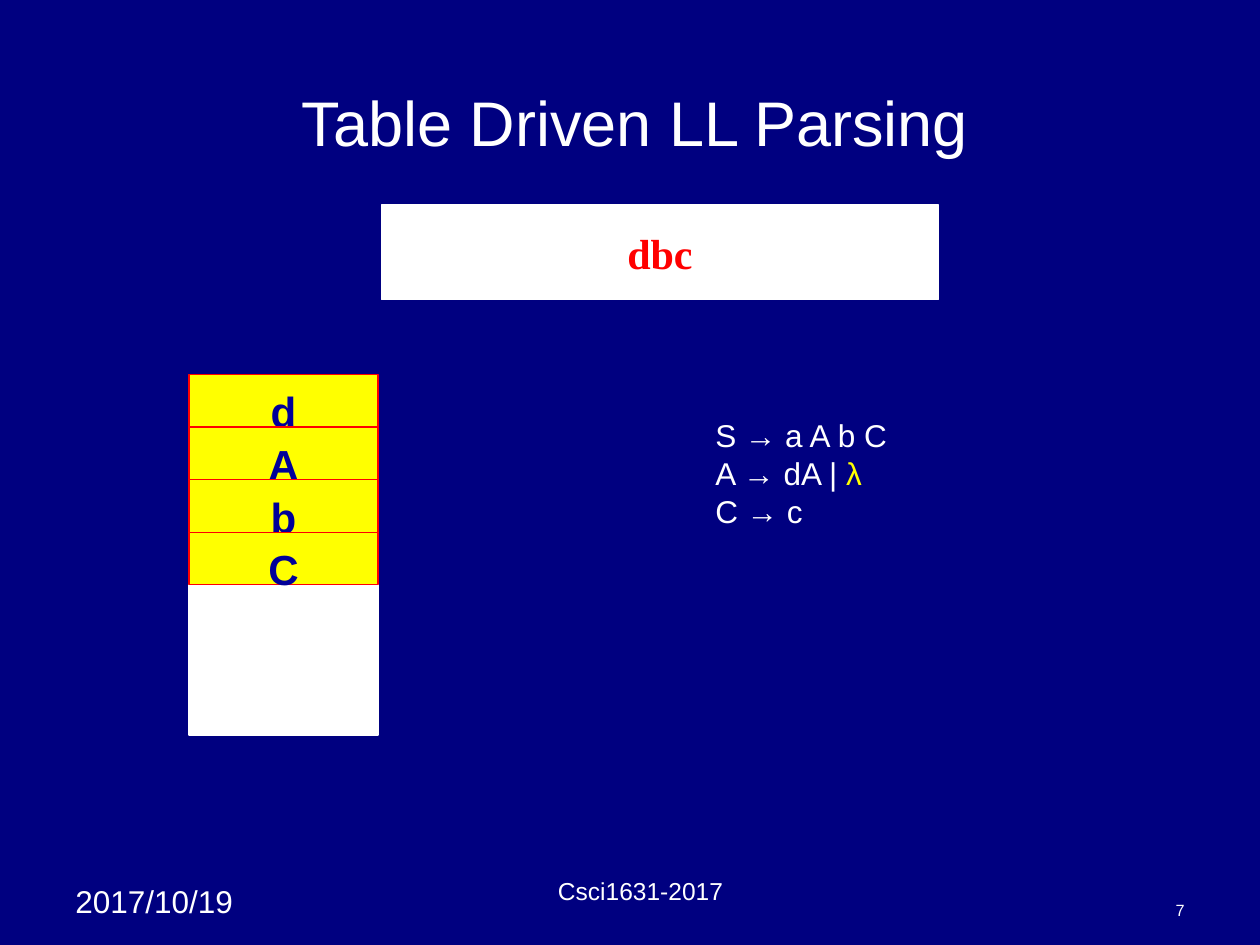
from pptx import Presentation
from pptx.dml.color import RGBColor
from pptx.enum.shapes import MSO_SHAPE
from pptx.enum.text import MSO_ANCHOR, PP_ALIGN
from pptx.util import Cm, Pt

NAVY = RGBColor(0x00, 0x00, 0x80)
INK = RGBColor(0x00, 0x00, 0x99)
WHITE = RGBColor(0xFF, 0xFF, 0xFF)
YELLOW = RGBColor(0xFF, 0xFF, 0x00)
RED = RGBColor(0xFF, 0x00, 0x00)

TITLE = "Table Driven LL Parsing"
INPUT = "dbc"
STACK = ["d", "A", "b", "C"]
GRAMMAR = [
    [("S → a A b C", WHITE)],
    [("A → dA | ", WHITE), ("λ", YELLOW)],
    [("C → c", WHITE)],
]
DATE = "2017/10/19"
COURSE = "Csci1631-2017"
PAGE = "7"

STACK_LEFT, STACK_TOP, STACK_WIDTH, CELL_HEIGHT = 3.81, 7.55, 3.81, 1.06


def write(holder, text, size=18, color=WHITE, font="Arial", bold=False,
          align=PP_ALIGN.LEFT, anchor=MSO_ANCHOR.TOP, wrap=True, top=0.13):
    frame = holder.text_frame
    frame.word_wrap = wrap
    frame.vertical_anchor = anchor
    frame.margin_left = frame.margin_right = Cm(0.25)
    frame.margin_top, frame.margin_bottom = Cm(top), Cm(0.13)
    lines = [[(text, color)]] if isinstance(text, str) else text
    for number, line in enumerate(lines):
        paragraph = frame.add_paragraph() if number else frame.paragraphs[0]
        paragraph.alignment = align
        for words, ink in line:
            run = paragraph.add_run()
            run.text = words
            run.font.name = font
            run.font.size = Pt(size)
            run.font.bold = bold
            run.font.color.rgb = ink


def add_text(slide, box, text, **style):
    write(slide.shapes.add_textbox(*map(Cm, box)), text, **style)


def add_box(slide, box, fill, line, width):
    rect = slide.shapes.add_shape(MSO_SHAPE.RECTANGLE, *map(Cm, box))
    rect.shadow.inherit = False
    rect.fill.solid()
    rect.fill.fore_color.rgb = fill
    rect.line.color.rgb = line
    rect.line.width = Pt(width)
    return rect


def main():
    deck = Presentation()
    deck.slide_width, deck.slide_height = Cm(25.4), Cm(19.05)
    slide = deck.slides.add_slide(deck.slide_layouts[6])
    slide.background.fill.solid()
    slide.background.fill.fore_color.rgb = NAVY

    add_text(slide, (1.27, 17.65, 4.01, 1.02), DATE)
    add_text(slide, (8.89, 17.7, 8.05, 0.69), COURSE, size=14,
             align=PP_ALIGN.CENTER, anchor=MSO_ANCHOR.BOTTOM)
    add_text(slide, (18.21, 17.98, 5.92, 0.69), PAGE, size=9.3,
             align=PP_ALIGN.RIGHT, anchor=MSO_ANCHOR.BOTTOM)
    add_text(slide, (1.47, 1.27, 22.66, 2.34), TITLE, size=36,
             align=PP_ALIGN.CENTER, anchor=MSO_ANCHOR.MIDDLE)

    add_box(slide, (STACK_LEFT, 7.62, STACK_WIDTH, 7.2), WHITE, WHITE, 1)
    input_box = add_box(slide, (7.69, 4.14, 11.23, 1.9), WHITE, WHITE, 1)
    write(input_box, INPUT, size=24, color=RED, font="Times New Roman", bold=True,
          align=PP_ALIGN.CENTER, anchor=MSO_ANCHOR.MIDDLE, wrap=False)
    add_text(slide, (14.17, 8.26, 4.04, 2.54), GRAMMAR, wrap=False)

    for row, symbol in enumerate(STACK):
        top = STACK_TOP + row * CELL_HEIGHT
        cell = add_box(slide, (STACK_LEFT, top, STACK_WIDTH, CELL_HEIGHT), YELLOW, RED, 0.75)
        write(cell, symbol, size=24, color=INK, bold=True,
              align=PP_ALIGN.CENTER, top=0.23)

    deck.save("out.pptx")


if __name__ == "__main__":
    main()
